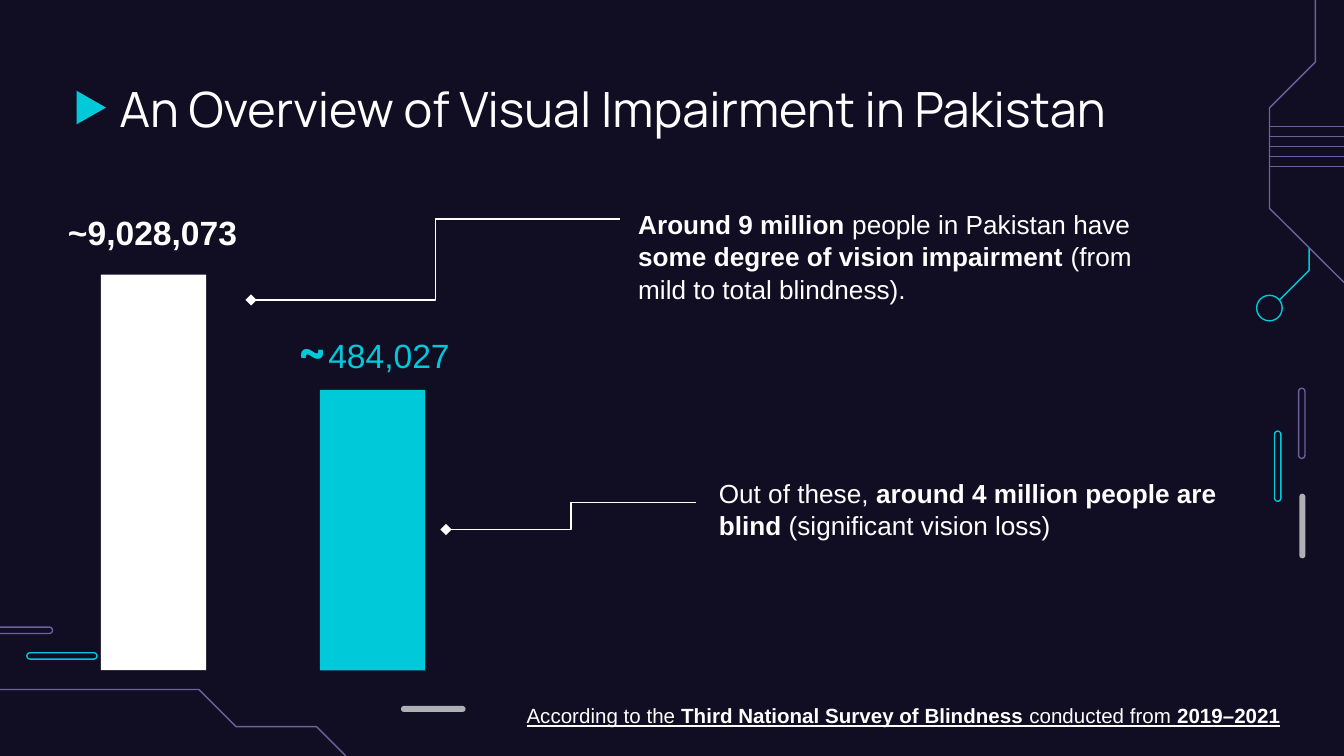
from dataclasses import dataclass

import pptx
import pptx.dml.color
import pptx.enum.shapes
import pptx.enum.text
import pptx.oxml
import pptx.oxml.ns
import pptx.util

Pt = pptx.util.Pt
SHAPE = pptx.enum.shapes.MSO_SHAPE
LINK = pptx.enum.shapes.MSO_CONNECTOR
ALIGN = pptx.enum.text.PP_ALIGN
ANCHOR = pptx.enum.text.MSO_ANCHOR


@dataclass(frozen=True)
class Theme:
    back: str = "110E24"
    white: str = "FFFFFF"
    cyan: str = "00CADA"
    violet: str = "69639C"
    grey: str = "AFAFB6"
    head: str = "Manrope"
    body: str = "Arial"
    title: float = 26
    tilde: float = 24
    value: float = 18
    note: float = 14
    source: float = 11
    line: float = 0.75


THEME = Theme()
BOLD = {"bold": True}
LINED = {"underline": True}


def rgb(code):
    return pptx.dml.color.RGBColor.from_string(code)


def paint(shape, fill=None, line=None):
    shape.shadow.inherit = False
    if fill:
        shape.fill.solid()
        shape.fill.fore_color.rgb = rgb(fill)
    else:
        shape.fill.background()
    if line:
        shape.line.color.rgb = rgb(line)
        shape.line.width = Pt(THEME.line)
    else:
        shape.line.fill.background()


def add_form(slide, kind, box, **look):
    shape = slide.shapes.add_shape(kind, *map(Pt, box))
    paint(shape, **look)
    return shape


def add_pill(slide, box, **look):
    shape = add_form(slide, SHAPE.ROUNDED_RECTANGLE, box, **look)
    shape.adjustments[0] = 0.5


def add_trace(slide, points, color):
    """Draw an open circuit line through the points."""
    first, *rest = [(Pt(x), Pt(y)) for x, y in points]
    builder = slide.shapes.build_freeform(*first)
    builder.add_line_segments(rest, close=False)
    paint(builder.convert_to_shape(), line=color)


def add_link(slide, kind, start, end, color, tip=None):
    link = slide.shapes.add_connector(kind, *map(Pt, start + end))
    link.line.color.rgb = rgb(color)
    link.line.width = Pt(THEME.line)
    if tip:
        tail = pptx.oxml.ns.qn("a:tailEnd")
        link.line._get_or_add_ln().append(
            link._element.makeelement(tail, {"type": tip}))
    props = link._element.spPr
    props.append(props.makeelement(pptx.oxml.ns.qn("a:effectLst"), {}))


def add_text(slide, box, runs, size, color=THEME.white, font=THEME.body,
             anchor=ANCHOR.TOP, **layout):
    """Add one paragraph of (text, format) runs; layout sets the paragraph."""
    frame = slide.shapes.add_textbox(*map(Pt, box)).text_frame
    frame.word_wrap = True
    frame.vertical_anchor = anchor
    for side in ("left", "right", "top", "bottom"):
        setattr(frame, f"margin_{side}", Pt(7.2))
    para = frame.paragraphs[0]
    for key, value in layout.items():
        setattr(para, key, value)
    for words, extra in runs:
        run = para.add_run()
        run.text = words
        run.font.color.rgb = rgb(color)
        for key, value in ({"size": Pt(size), "name": font} | extra).items():
            setattr(run.font, key, value)


def add_decor(slide):
    wide, tall = (37.6, 3.4), (3.4, 37.6)
    add_pill(slide, (14.4, 349.7, *wide), line=THEME.cyan)
    add_pill(slide, (-9.4, 336, *wide), line=THEME.violet)
    add_pill(slide, (682.8, 231, *tall), line=THEME.cyan)
    add_pill(slide, (695.7, 208, *tall), line=THEME.violet)
    add_pill(slide, (214.8, 378.2, 34.6, 3.2), fill=THEME.grey)
    add_pill(slide, (696.1, 264.5, 3.2, 34.6), fill=THEME.grey)

    add_trace(slide, [(0, 369.4), (106.6, 369.4), (126.4, 389.3),
                      (169.6, 389.3), (185.3, 405)], THEME.violet)
    add_trace(slide, [(685.5, 160.6), (701.3, 144.8), (701.3, 133)], THEME.cyan)
    add_form(slide, SHAPE.OVAL, (673.2, 158.2, 13.7, 13.7), line=THEME.cyan)
    add_trace(slide, [(704.7, 0), (704.7, 33.2), (680.1, 57.9),
                      (680.1, 111.6), (720, 151.3)], THEME.violet)
    for row in range(5):
        y = 67.8 + 5.35 * row
        add_link(slide, LINK.STRAIGHT, (680.1, y), (720, y), THEME.violet)


def add_bar(slide, left, height, color):
    base = 359.1
    add_form(slide, SHAPE.RECTANGLE, (left, base - height, 56.4, height),
             fill=color)


def main():
    deck = pptx.Presentation()
    deck.slide_width, deck.slide_height = Pt(720), Pt(405)
    slide = deck.slides.add_slide(deck.slide_layouts[6])
    slide.background.fill.solid()
    slide.background.fill.fore_color.rgb = rgb(THEME.back)

    add_decor(slide)
    mark = add_form(slide, SHAPE.FLOWCHART_MERGE, (39.9, 49.7, 18, 15.8),
                    fill=THEME.cyan)
    mark.rotation = 270
    add_text(slide, (56.9, 35.3, 607, 45.4),
             [("An Overview of Visual Impairment in Pakistan", {})],
             THEME.title, font=THEME.head)

    add_bar(slide, 54.1, 212, THEME.white)
    add_bar(slide, 171.4, 150.2, THEME.cyan)
    label = {"size": THEME.value, "anchor": ANCHOR.BOTTOM,
             "alignment": ALIGN.CENTER}
    add_text(slide, (25.9, 98.6, 111.6, 43.9), [("~9,028,073", BOLD)], **label)
    tilde = {"size": Pt(THEME.tilde), "name": THEME.head, "bold": True}
    add_text(slide, (149.8, 165.6, 100, 43.9),
             [("~", tilde), ("484,027", {})], color=THEME.cyan, **label)

    note = {"size": THEME.note, "line_spacing": 1.04}
    add_text(slide, (334.8, 103.7, 282.2, 66.2),
             [("Around 9 million ", BOLD), ("people in Pakistan have ", {}),
              ("some degree of vision impairment", BOLD),
              (" (from mild to total blindness).", {})], **note)
    add_text(slide, (378, 247.7, 282.2, 66.2),
             [("Out of these, ", {}),
              ("around 4 million people are blind", BOLD),
              (" (significant vision loss)", {})], **note)
    for start, end in (((332, 117.3), (134.5, 160.7)),
                       ((372.8, 269.2), (239, 283.7))):
        add_link(slide, LINK.ELBOW, start, end, THEME.white, tip="diamond")

    add_text(slide, (275, 370.1, 445, 34.9),
             [("According to the ", LINED),
              ("Third National Survey of Blindness", BOLD | LINED),
              (" conducted from ", LINED), ("2019–2021", BOLD | LINED)],
             THEME.source)
    deck.save("out.pptx")


if __name__ == "__main__":
    main()
